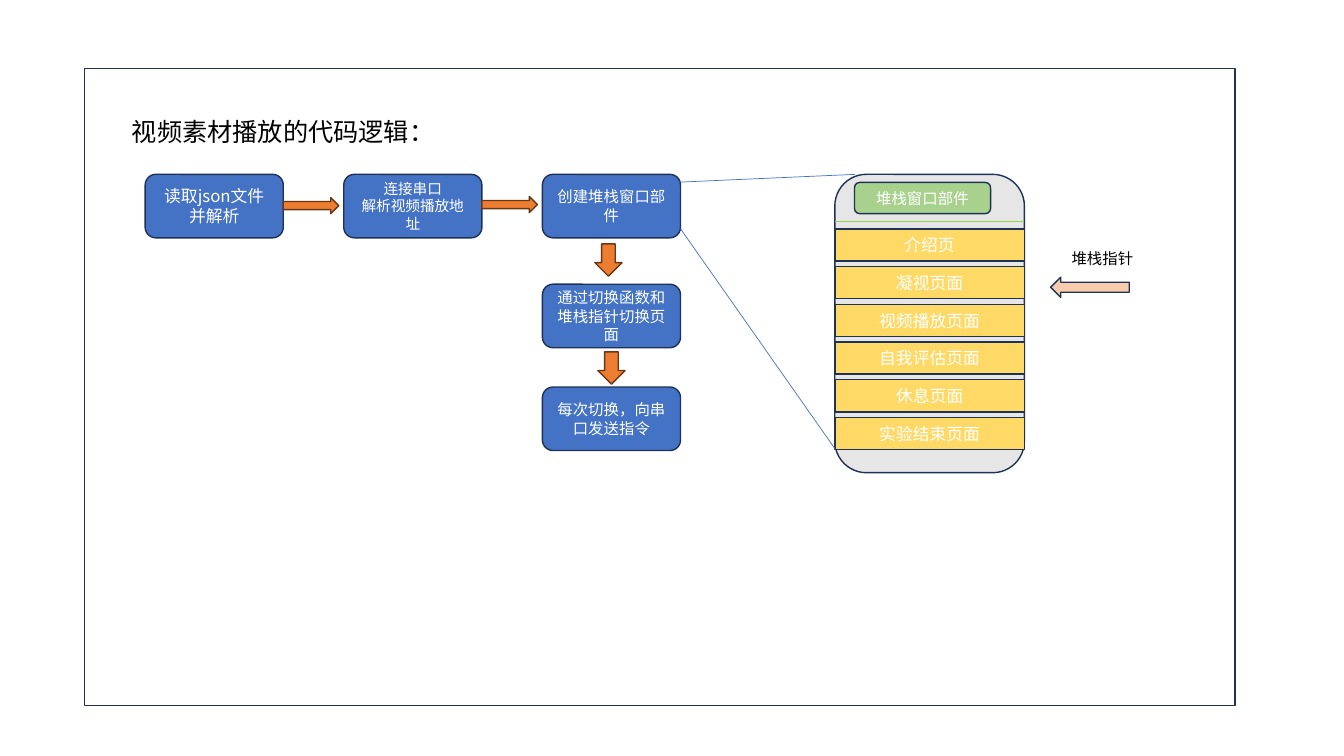
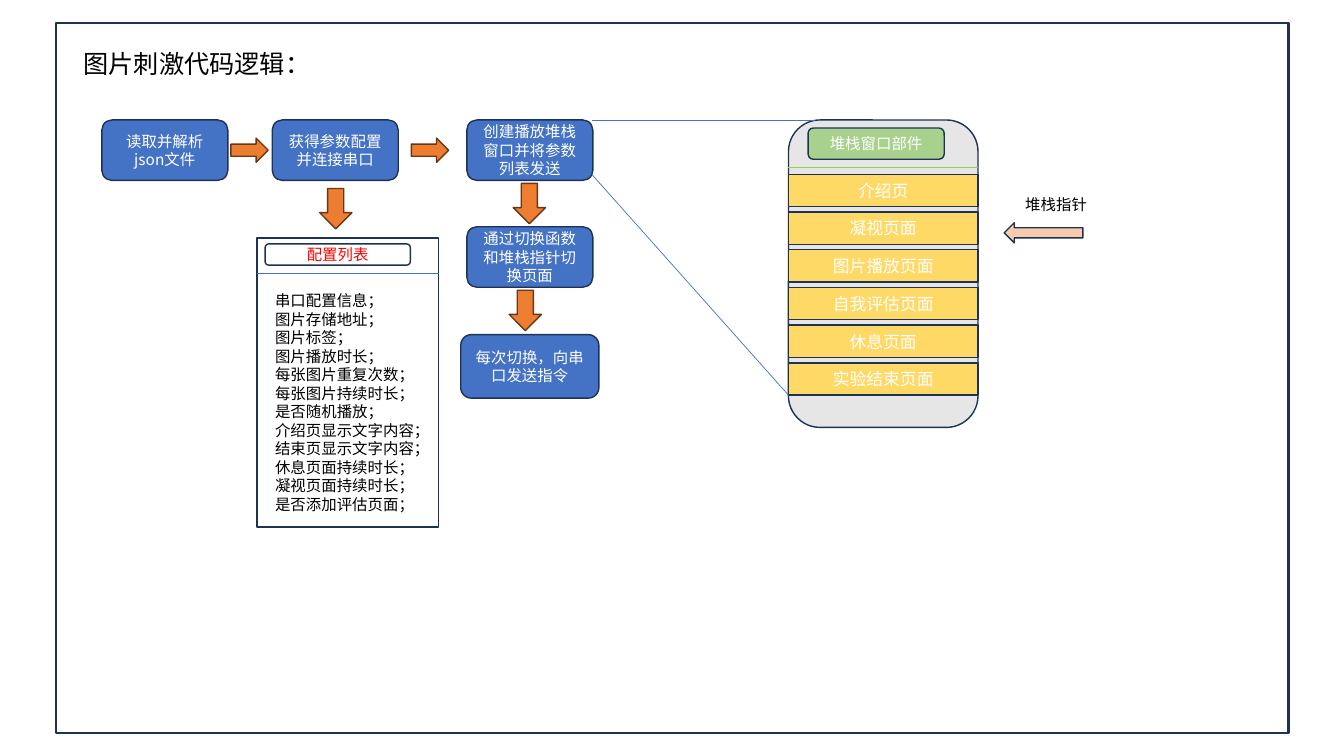
"""Build two flow-chart slides on the code logic of video and picture playback."""
from pptx import Presentation
from pptx.dml.color import RGBColor
from pptx.enum.shapes import MSO_CONNECTOR, MSO_SHAPE as Kind
from pptx.enum.text import MSO_ANCHOR, MSO_AUTO_SIZE, PP_ALIGN
from pptx.oxml.ns import qn
from pptx.util import Inches, Pt
from lxml.etree import SubElement

FONT = "Noto Sans CJK SC"
WHITE = RGBColor(0xFF, 0xFF, 0xFF)
BLACK = RGBColor(0x00, 0x00, 0x00)
RED = RGBColor(0xFF, 0x00, 0x00)
NAVY = RGBColor(0x1E, 0x32, 0x56)
BLUE = RGBColor(0x44, 0x72, 0xC4)
ORANGE = RGBColor(0xED, 0x7D, 0x31)
BROWN = RGBColor(0x68, 0x37, 0x15)
GREY = RGBColor(0xE7, 0xE6, 0xE6)
GREEN = RGBColor(0xA9, 0xD1, 0x8E)
LIME = RGBColor(0x92, 0xD0, 0x50)
YELLOW = RGBColor(0xFF, 0xD9, 0x66)
PEACH = RGBColor(0xF8, 0xCB, 0xAD)

presentation = Presentation()
presentation.slide_width = Inches(13.33)
presentation.slide_height = Inches(7.5)
COLUMN = presentation.slide_width / 133.3
ROW = presentation.slide_height / 75


def add_box(slide, kind, at, text="", size=11, fill=None, line=NAVY, width=1, color=WHITE):
    left, top, columns, rows = at
    place = [int(left * COLUMN), int(top * ROW), int(columns * COLUMN), int(rows * ROW)]
    if kind is None:
        shape = slide.shapes.add_textbox(*place)
        shape.text_frame.auto_size = MSO_AUTO_SIZE.SHAPE_TO_FIT_TEXT
    else:
        shape = slide.shapes.add_shape(kind, *place)
        shape.shadow.inherit = False
        shape.fill.solid()
        shape.fill.fore_color.rgb = fill
        shape.line.color.rgb = line
        shape.line.width = Pt(width)
        shape.text_frame.vertical_anchor = MSO_ANCHOR.MIDDLE
    frame = shape.text_frame
    frame.word_wrap = True
    for index, words in enumerate(text.splitlines()):
        paragraph = frame.add_paragraph() if index else frame.paragraphs[0]
        paragraph.alignment = PP_ALIGN.LEFT if kind is None else PP_ALIGN.CENTER
        run = paragraph.add_run()
        run.text = words
        run.font.size = Pt(size)
        run.font.color.rgb = color
        run.font.name = FONT
        SubElement(run.font._element, qn("a:ea")).set("typeface", FONT)


def add_line(slide, start, end, color=BLUE, width=0.5):
    (left, top), (right, bottom) = start, end
    connector = slide.shapes.add_connector(
        MSO_CONNECTOR.STRAIGHT,
        int(left * COLUMN), int(top * ROW), int(right * COLUMN), int(bottom * ROW))
    connector.line.color.rgb = color
    connector.line.width = Pt(width)
    SubElement(connector._element.spPr, qn("a:effectLst"))


WIDE_STEP = (13.7, 6.3)
SMALL_STEP = (12.5, 6)
LONG_ARROW = (5.5, 1.6)
SHORT_ARROW = (3.7, 2.4)
SMALL_DROP = (2.7, 3.2)
LARGE_DROP = (3.2, 4)
SWITCH = "通过切换函数和堆栈指针切换页面"
SEND = "每次切换，向串口发送指令"

FLOWS = [
    {
        "frame": (8.4, 6.8, 114.1, 63.2), "frame_width": 1,
        "title": "视频素材播放的代码逻辑：", "title_at": (12.1, 11.1, 45.5, 4),
        "steps": [
            (14.4, 17.3, WIDE_STEP, "读取json文件并解析", 12),
            (34.1, 17.3, WIDE_STEP, "连接串口\n解析视频播放地址", 10.5),
            (53.8, 17.3, WIDE_STEP, "创建堆栈窗口部件", 11),
            (53.8, 28.2, WIDE_STEP, SWITCH, 11),
            (53.8, 38.4, WIDE_STEP, SEND, 11),
        ],
        "arrows": [
            (Kind.RIGHT_ARROW, 28.1, 19.6, LONG_ARROW),
            (Kind.RIGHT_ARROW, 47.8, 19.5, LONG_ARROW),
            (Kind.DOWN_ARROW, 59, 24.2, SMALL_DROP),
            (Kind.DOWN_ARROW, 59.3, 34.9, SMALL_DROP),
        ],
        "stack": (82.8, 17.3, 29.6), "media": "视频",
        "callouts": [((66.7, 18.1), (84.8, 17.3)), ((67.5, 22.7), (82.8, 44.5))],
    },
    {
        "frame": (5.6, 2.3, 122.2, 70.4), "frame_width": 1.5,
        "title": "图片刺激代码逻辑：", "title_at": (7.3, 4.3, 27.8, 4),
        "steps": [
            (10.1, 11.9, SMALL_STEP, "读取并解析json文件", 11),
            (27, 11.9, SMALL_STEP, "获得参数配置并连接串口", 11),
            (46.3, 11.9, SMALL_STEP, "创建播放堆栈窗口并将参数列表发送", 11),
            (46.3, 22.5, SMALL_STEP, SWITCH, 11),
            (45.7, 33.2, WIDE_STEP, SEND, 11),
        ],
        "arrows": [
            (Kind.RIGHT_ARROW, 22.9, 13.7, SHORT_ARROW),
            (Kind.RIGHT_ARROW, 40.8, 13.7, SHORT_ARROW),
            (Kind.DOWN_ARROW, 31.7, 18.7, LARGE_DROP),
            (Kind.DOWN_ARROW, 50.9, 18.2, LARGE_DROP),
            (Kind.DOWN_ARROW, 50.5, 28.8, LARGE_DROP),
        ],
        "stack": (78.2, 11.9, 30.5), "media": "图片",
        "callouts": [((58.7, 11.9), (80.8, 11.9)), ((58.7, 17.3), (78.2, 39.2))],
    },
]

STACK_COLUMNS = 18.8
PAGE_PITCH = 3.74

for flow in FLOWS:
    slide = presentation.slides.add_slide(presentation.slide_layouts[6])
    add_box(slide, Kind.RECTANGLE, flow["frame"], fill=WHITE, width=flow["frame_width"])
    add_box(slide, None, flow["title_at"], flow["title"], 18, color=BLACK)
    for left, top, extent, text, size in flow["steps"]:
        add_box(slide, Kind.ROUNDED_RECTANGLE, (left, top, *extent), text, size, BLUE)
    for kind, left, top, extent in flow["arrows"]:
        add_box(slide, kind, (left, top, *extent), fill=ORANGE, line=BROWN)

    left, top, rows = flow["stack"]
    add_box(slide, Kind.ROUNDED_RECTANGLE, (left, top, STACK_COLUMNS, rows), fill=GREY)
    add_box(slide, Kind.ROUNDED_RECTANGLE, (left + 1.95, top + 0.8, 13.5, 3.1),
            "堆栈窗口部件", fill=GREEN)
    add_line(slide, (left, top + 4.7), (left + STACK_COLUMNS, top + 4.7), LIME, 1)
    pages = ["介绍页", "凝视页面", flow["media"] + "播放页面",
             "自我评估页面", "休息页面", "实验结束页面"]
    for index, page in enumerate(pages):
        page_top = top + 5.4 + index * PAGE_PITCH
        add_box(slide, Kind.RECTANGLE, (left, page_top, STACK_COLUMNS, 3.2), page, 12, YELLOW)
    add_box(slide, Kind.LEFT_ARROW, (left + 21.4, top + 10.2, 7.8, 2), fill=PEACH)
    add_box(slide, None, (left + 22.5, top + 6.95, 10.3, 2.9), "堆栈指针", color=BLACK)
    for start, end in flow["callouts"]:
        add_line(slide, start, end)

SETTINGS = """串口配置信息；
图片存储地址；
图片标签；
图片播放时长；
每张图片重复次数；
每张图片持续时长；
是否随机播放；
介绍页显示文字内容；
结束页显示文字内容；
休息页面持续时长；
凝视页面持续时长；
是否添加评估页面；"""

picture_slide = presentation.slides[1]
add_box(picture_slide, Kind.RECTANGLE, (25.5, 23.6, 18, 28.7), fill=WHITE)
add_box(picture_slide, Kind.ROUNDED_RECTANGLE, (26.3, 24.2, 14.4, 2.1),
        "配置列表", fill=WHITE, color=RED)
add_line(picture_slide, (25.5, 27.1), (43.5, 27.1))
add_box(picture_slide, None, (26.3, 28.4, 16.6, 25.1), SETTINGS, color=BLACK)

presentation.save("out.pptx")
